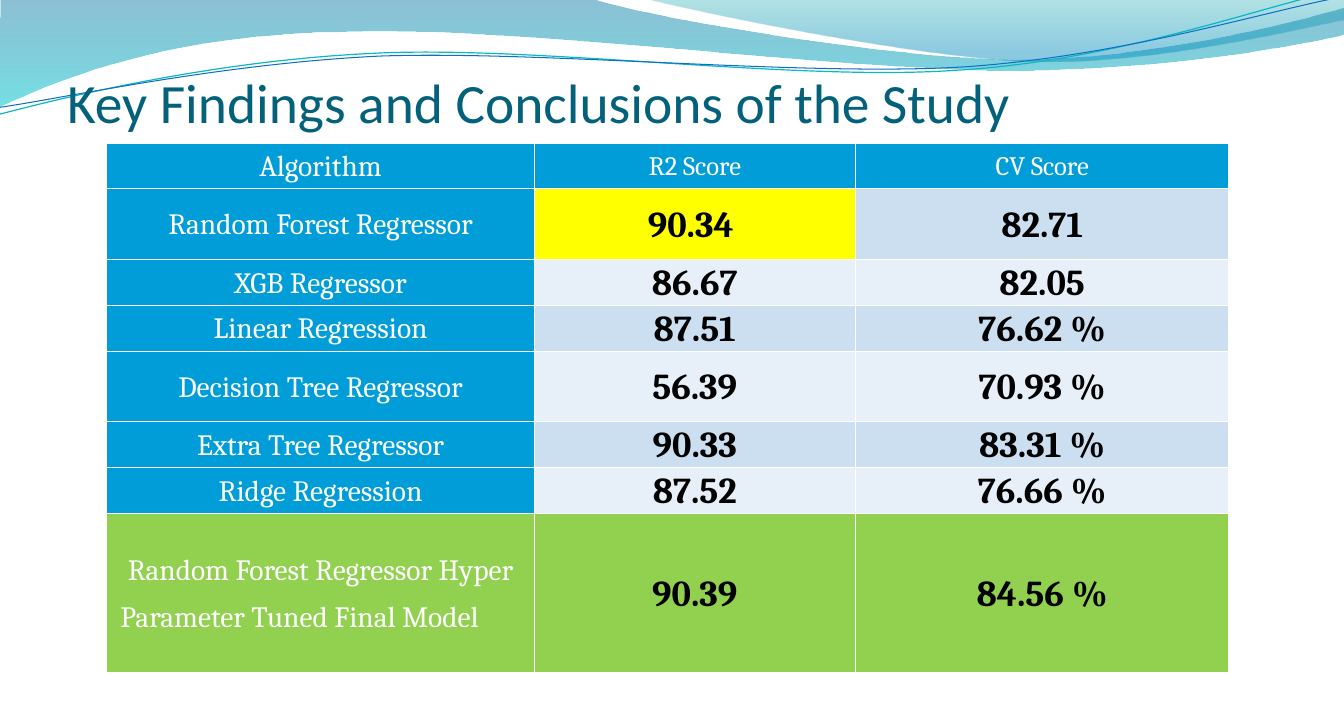
from dataclasses import dataclass

import pptx
import pptx.dml.color
import pptx.enum.text
import pptx.oxml
import pptx.oxml.ns
import pptx.util

WIDTH, HEIGHT = pptx.util.Inches(13.33), pptx.util.Inches(7)
COLORS = {
    "title": "04617B", "header": "009DD9", "white": "FFFFFF", "black": "000000",
    "band_dark": "CCDFF1", "band_light": "E7EFF8", "best": "FFFF00", "final": "92D050",
    "deep_blue": "0074A1", "cyan": "00C6CF", "teal": "00A1A9", "sky": "008BBF",
    "teal_line": "0AB8BF", "blue_line": "0F6FC6",
}
Point = tuple[float, float]


@dataclass
class Stop:
    position: float
    color: str
    opacity: int


@dataclass
class Wave:
    """Segments hold one point for a line and three for a Bézier curve, in inches."""
    start: Point
    segments: list[tuple[Point, ...]]
    stops: tuple[Stop, ...] = ()
    line_color: str = ""
    line_width: float = 0
    rotation: float = 0


@dataclass
class Row:
    label: list[str]
    scores: tuple[str, str]
    height: float


WAVES = [
    Wave((0, 0), [
        ((5.87, -0.01),),
        ((6.34, 0.16), (8.84, 0.59), (10.11, 0.59)),
        ((11.37, 0.59), (12.77, 0.24), (13.33, 0.08)),
        ((13.34, 0.34),),
        ((13.11, 0.41), (11.59, 0.71), (9.94, 0.7)),
        ((8.29, 0.7), (5.09, 0.26), (3.43, 0.32)),
        ((1.72, 0.33), (0.61, 0.77), (-0.01, 1.06)),
        ((0, 0),),
    ], stops=(Stop(0, "deep_blue", 45), Stop(1, "cyan", 55))),
    Wave((6.39, -0.01), [
        ((6.79, 0.1), (9.09, 0.58), (10.25, 0.61)),
        ((11.4, 0.64), (12.82, 0.3), (13.33, 0.2)),
        ((13.33, 0),),
        ((6.39, -0.01),),
    ], stops=(Stop(0, "teal", 30), Stop(0.8, "sky", 45))),
    Wave((-0.03, 0.82), [
        ((0.63, 0.68), (2.11, 0.39), (3.69, 0.39)),
        ((5.28, 0.38), (7.88, 0.87), (9.48, 0.83)),
        ((11.09, 0.81), (12.53, 0.34), (13.33, 0.21)),
    ], line_color="teal_line", line_width=0.85, rotation=357.3),
    Wave((-0.02, 0.75), [
        ((0.62, 0.69), (2.18, 0.42), (3.78, 0.42)),
        ((5.37, 0.44), (7.95, 0.82), (9.54, 0.8)),
        ((11.13, 0.77), (12.56, 0.39), (13.35, 0.28)),
    ], line_color="blue_line", line_width=0.75, rotation=357.3),
]

# Column widths and row heights are percentages of the slide's size.
COLUMNS = (31.8, 23.9, 27.8)
LOW, TALL, FINAL = 6.5, 10, 22.6
ROWS = [
    Row(["Algorithm"], ("R2 Score", "CV Score"), LOW),
    Row(["Random Forest Regressor"], ("90.34 ", "82.71"), TALL),
    Row(["XGB Regressor"], ("86.67", "82.05"), LOW),
    Row(["Linear Regression"], ("87.51", "76.62 %"), LOW),
    Row(["Decision Tree Regressor"], ("56.39", "70.93 %"), TALL),
    Row(["Extra Tree Regressor"], ("90.33", "83.31 %"), LOW),
    Row(["Ridge Regression"], ("87.52", "76.66 %"), LOW),
    Row(["Random Forest Regressor Hyper", " Parameter Tuned Final Model"],
        ("90.39", "84.56 %"), FINAL),
]


def across(percent: float) -> int:
    return round(WIDTH * percent / 100)


def down(percent: float) -> int:
    return round(HEIGHT * percent / 100)


def rgb(name: str) -> pptx.dml.color.RGBColor:
    return pptx.dml.color.RGBColor.from_string(COLORS[name])


def add_run(paragraph, text: str, font: str, size: float, color: str, bold: bool = False) -> None:
    run = paragraph.add_run()
    run.text = text
    run.font.name, run.font.size, run.font.bold = font, pptx.util.Pt(size), bold
    run.font.color.rgb = rgb(color)


def bend(shape, wave: Wave) -> None:
    """Join the three line steps of each curved segment into one Bézier curve."""
    steps = iter(list(shape.element.iter(pptx.oxml.ns.qn("a:lnTo"))))
    for segment in wave.segments:
        first, *others = [next(steps) for _ in segment]
        if others:
            curve = pptx.oxml.parse_xml(f'<a:cubicBezTo {pptx.oxml.ns.nsdecls("a")}/>')
            first.addprevious(curve)
            for step in (first, *others):
                curve.append(step[0])
                step.getparent().remove(step)


def draw_wave(slide, wave: Wave) -> None:
    points = [wave.start, *(point for segment in wave.segments for point in segment)]
    points = [(pptx.util.Inches(x), pptx.util.Inches(y)) for x, y in points]
    builder = slide.shapes.build_freeform(*points[0])
    builder.add_line_segments(points[1:], close=bool(wave.stops))
    shape = builder.convert_to_shape()
    bend(shape, wave)
    shape.rotation = wave.rotation
    shape.shadow.inherit = False
    if not wave.stops:
        shape.fill.background()
        shape.line.color.rgb = rgb(wave.line_color)
        shape.line.width = pptx.util.Pt(wave.line_width)
        return
    shape.line.fill.background()
    shape.fill.gradient()
    shape.fill.gradient_angle = 270
    for gradient_stop, stop in zip(shape.fill.gradient_stops, wave.stops):
        gradient_stop.position = stop.position
        gradient_stop.color.rgb = rgb(stop.color)
    colors = shape.element.iter(pptx.oxml.ns.qn("a:srgbClr"))
    for color, stop in zip(list(colors), wave.stops):
        color.append(pptx.oxml.parse_xml(
            f'<a:alpha {pptx.oxml.ns.nsdecls("a")} val="{stop.opacity * 1000}"/>'))


def set_borders(cell) -> None:
    properties = cell._tc.get_or_add_tcPr()
    for index, side in enumerate(("lnL", "lnR", "lnT", "lnB")):
        properties.insert(index, pptx.oxml.parse_xml(
            f'<a:{side} {pptx.oxml.ns.nsdecls("a")} w="{pptx.util.Pt(1)}"><a:solidFill>'
            f'<a:srgbClr val="{COLORS["white"]}"/></a:solidFill></a:{side}>'))


def cell_fill(row: int, column: int) -> str:
    if row == len(ROWS) - 1:
        return "final"
    if row == 0 or column == 0:
        return "header"
    if (row, column) == (1, 1):
        return "best"
    return "band_dark" if row % 2 else "band_light"


def fill_cell(cell, lines: list[str], row: int, column: int) -> None:
    cell.fill.solid()
    cell.fill.fore_color.rgb = rgb(cell_fill(row, column))
    cell.vertical_anchor = pptx.enum.text.MSO_ANCHOR.MIDDLE
    cell.margin_left = cell.margin_right = pptx.util.Inches(0.07)
    cell.margin_top = cell.margin_bottom = 0
    is_score = row > 0 and column > 0
    size = 26 if is_score else 21 if column == 0 else 19
    frame, align = cell.text_frame, pptx.enum.text.PP_ALIGN
    for index, text in enumerate(lines):
        paragraph = frame.add_paragraph() if index else frame.paragraphs[0]
        paragraph.alignment = align.LEFT if index else align.CENTER
        paragraph.line_spacing = 1.07
        paragraph.space_after = pptx.util.Pt(8)
        add_run(paragraph, text, "Cambria", size, "black" if is_score else "white", is_score)
    set_borders(cell)


def draw_table(slide) -> None:
    table = slide.shapes.add_table(
        len(ROWS), len(COLUMNS), across(7.95), down(20.25),
        across(sum(COLUMNS)), down(sum(row.height for row in ROWS))).table
    table.first_row = table.horz_banding = False
    for column, width in enumerate(COLUMNS):
        table.columns[column].width = across(width)
    for index, row in enumerate(ROWS):
        table.rows[index].height = down(row.height)
        for column, lines in enumerate((row.label, *([score] for score in row.scores))):
            fill_cell(table.cell(index, column), lines, index, column)


def draw_title(slide) -> None:
    title = slide.shapes.title
    title.left, title.top, title.width, title.height = across(5), down(10.3), across(90), down(8.7)
    frame = title.text_frame
    frame.word_wrap = True
    frame.auto_size = pptx.enum.text.MSO_AUTO_SIZE.NONE
    frame.vertical_anchor = pptx.enum.text.MSO_ANCHOR.BOTTOM
    frame.margin_left = frame.margin_right = frame.margin_bottom = 0
    frame.paragraphs[0].alignment = pptx.enum.text.PP_ALIGN.LEFT
    add_run(frame.paragraphs[0], "Key Findings and Conclusions of the Study",
            "Calibri", 39.6, "title")
    # Bring the title in front of the waves
    slide.shapes.element.append(title.element)


def main() -> None:
    presentation = pptx.Presentation()
    presentation.slide_width, presentation.slide_height = WIDTH, HEIGHT
    slide = presentation.slides.add_slide(presentation.slide_layouts[5])
    for wave in WAVES:
        draw_wave(slide, wave)
    draw_title(slide)
    draw_table(slide)
    presentation.save("out.pptx")


if __name__ == "__main__":
    main()
